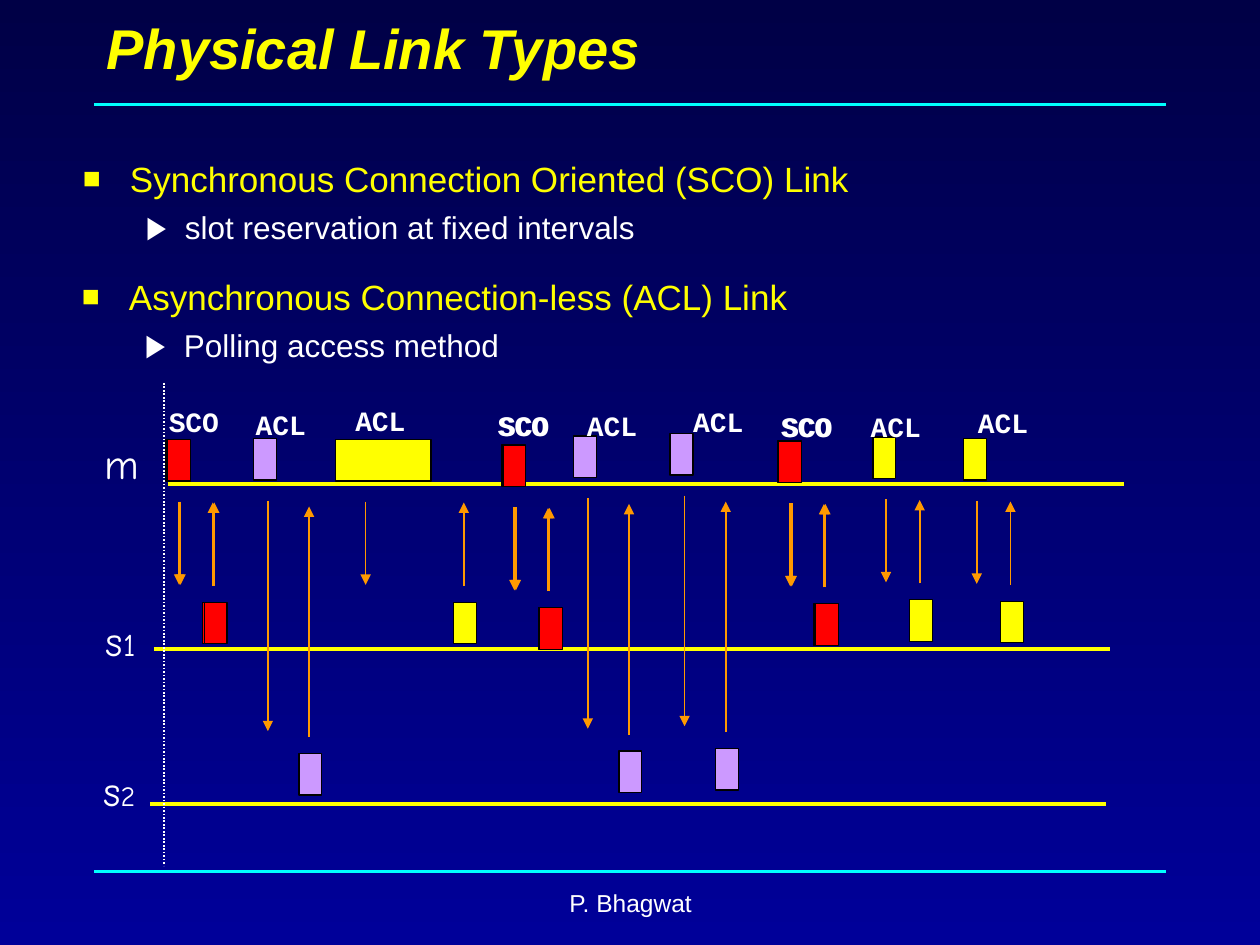
from pptx import Presentation
from pptx.dml.color import RGBColor as Rgb
from pptx.enum.dml import MSO_LINE_DASH_STYLE as Dash
from pptx.enum.shapes import MSO_CONNECTOR as Link, MSO_SHAPE as Form
from pptx.enum.text import MSO_ANCHOR as Anchor, PP_ALIGN as Align
from pptx.oxml.ns import qn
from pptx.util import Cm, Pt
from lxml.etree import SubElement as Sub

HUES = {
    "top": "000046", "base": "000099", "rule": "00FFFF", "lane": "FFFF00",
    "white": "FFFFFF", "black": "000000", "arrow": "FF9900",
    "sco": "FF0000", "data": "FFFF00", "poll": "CC99FF",
}


def hue(name):
    return Rgb.from_string(HUES[name])


def write(par, text, size=18, color="white", font="Arial", bold=False, slant=False):
    run = par.add_run()
    run.text = text
    run.font.size = Pt(size)
    run.font.name = font
    run.font.bold = bold
    run.font.italic = slant
    run.font.color.rgb = hue(color)


class Board:
    wide, high = 0.46, 0.84

    def __init__(self, slide):
        self.slide = slide
        self.shapes = slide.shapes

    def back(self):
        fill = self.slide.background.fill
        fill.gradient()
        fill.gradient_angle = 270
        for stop, name in zip(fill.gradient_stops, ("top", "base")):
            stop.color.rgb = hue(name)

    def line(self, x1, y1, x2, y2, color, width, dash=None, head=False):
        line = self.shapes.add_connector(Link.STRAIGHT, Cm(x1), Cm(y1), Cm(x2), Cm(y2))
        line.line.color.rgb = hue(color)
        line.line.width = Pt(width)
        if dash:
            line.line.dash_style = dash
        props = line._element.spPr
        if head:
            Sub(props.find(qn("a:ln")), qn("a:tailEnd"), type="triangle")
        Sub(props, qn("a:effectLst"))

    def frame(self, x, y, w, h, wrap=True, mid=False):
        frame = self.shapes.add_textbox(Cm(x), Cm(y), Cm(w), Cm(h)).text_frame
        frame.word_wrap = wrap
        frame.vertical_anchor = Anchor.MIDDLE if mid else Anchor.TOP
        return frame

    def text(self, x, y, w, h, *parts, align=Align.LEFT, wrap=True, mid=False, **style):
        par = self.frame(x, y, w, h, wrap, mid).paragraphs[0]
        par.alignment = align
        for text, size in parts:
            write(par, text, size=size, **style)

    def bullet(self, par, mark, color, left, hang, scale):
        props = par._p.get_or_add_pPr()
        props.set("marL", str(Cm(left)))
        props.set("indent", str(-Cm(hang)))
        Sub(Sub(props, qn("a:buClr")), qn("a:srgbClr"), val=HUES[color])
        Sub(props, qn("a:buSzPct"), val=str(scale * 1000))
        Sub(props, qn("a:buFont"), typeface="Arial")
        Sub(props, qn("a:buChar"), char=mark)

    def topic(self, x, y, title, detail):
        frame = self.frame(x, y, 22.86, 2.2)
        first, second = frame.paragraphs[0], frame.add_paragraph()
        self.bullet(first, "■", "lane", 0.95, 0.95, 85)
        write(first, title, size=20, color="lane")
        second.level = 1
        self.bullet(second, "▶", "white", 2.06, 0.79, 100)
        second.space_before = Pt(5)
        write(second, detail)

    def block(self, x, y, color, wide=wide):
        box = self.shapes.add_shape(Form.RECTANGLE, Cm(x), Cm(y), Cm(wide), Cm(self.high))
        box.shadow.inherit = False
        box.fill.solid()
        box.fill.fore_color.rgb = hue(color)
        box.line.color.rgb = hue("black")
        box.line.width = Pt(0.75)

    def trade(self, x, y, color, send=0.26, reply=0.74, drop=3.28, reach=1.68, wide=wide):
        self.block(x, y, color, wide)
        self.block(x + reply, y + drop, color)
        start, end = y + 1.25, y + drop - 0.33
        down, up = x + send, x + reply + 0.2
        self.line(down, start, down, start + reach, "arrow", 1, head=True)
        self.line(up, end, up, end - reach, "arrow", 1, head=True)

    def tag(self, x, y, text):
        self.text(x, y, 1.52, 0.94, (text, 16), align=Align.CENTER,
                  wrap=False, mid=True, font="Courier New", bold=True)


def main():
    deck = Presentation()
    deck.slide_width, deck.slide_height = Cm(25.4), Cm(19.05)
    board = Board(deck.slides.add_slide(deck.slide_layouts[6]))
    board.back()

    for y in (2.11, 17.57):
        board.line(1.9, y, 23.5, y, "rule", 2)
    board.text(1.9, 0, 21.6, 1.9, ("Physical Link Types", 32),
               mid=True, color="lane", bold=True, slant=True)

    lanes = [
        (3.38, 9.75, 1.85, 8.69, [("m", 24)]),
        (3.1, 13.08, 1.88, 12.27, [("s", 24), ("1", 18)]),
        (3.02, 16.2, 1.83, 15.29, [("s", 24), ("2", 16)]),
    ]
    for x, y, left, top, parts in lanes:
        board.line(x, y, x + 19.27, y, "lane", 2.25)
        board.text(left, top, 1.17, 1.27, *parts, wrap=False, font="Comic Neue")
    board.line(3.3, 7.72, 3.3, 17.45, "white", 1, dash=Dash.ROUND_DOT)

    board.topic(1.42, 3.05, "Synchronous Connection Oriented (SCO) Link",
                "slot reservation at fixed intervals")
    board.topic(1.4, 5.43, "Asynchronous Connection-less (ACL) Link",
                "Polling access method")

    voice = [(3.35, 8.86), (10.11, 8.97), (15.67, 8.89)]
    names = [(3.15, 8.03), (9.78, 8.1), (15.49, 8.13)]
    for shift in (0, 0.03):
        for x, y in voice:
            board.trade(x + shift, y, "sco")
        for x, y in names if shift == 0 else names[1:]:
            board.tag(x + shift, y, "SCO")

    board.trade(6.76, 8.86, "data", send=0.61, reply=2.39, wide=1.93)
    for x, y in [(17.6, 8.81), (19.43, 8.84)]:
        board.trade(x, y, "data")
    for x, y in [(5.11, 8.84), (11.56, 8.79), (13.51, 8.74)]:
        board.trade(x, y, "poll", send=0.29, reply=0.92, drop=6.35, reach=4.65)
    for x, y in [(6.91, 8), (17.3, 8.13), (19.46, 8.05),
                 (4.9, 8.08), (11.58, 8.1), (13.72, 8.03)]:
        board.tag(x, y, "ACL")

    board.text(8.69, 17.78, 8.05, 1.27, ("P. Bhagwat", 14), align=Align.CENTER)
    deck.save("out.pptx")


if __name__ == "__main__":
    main()
